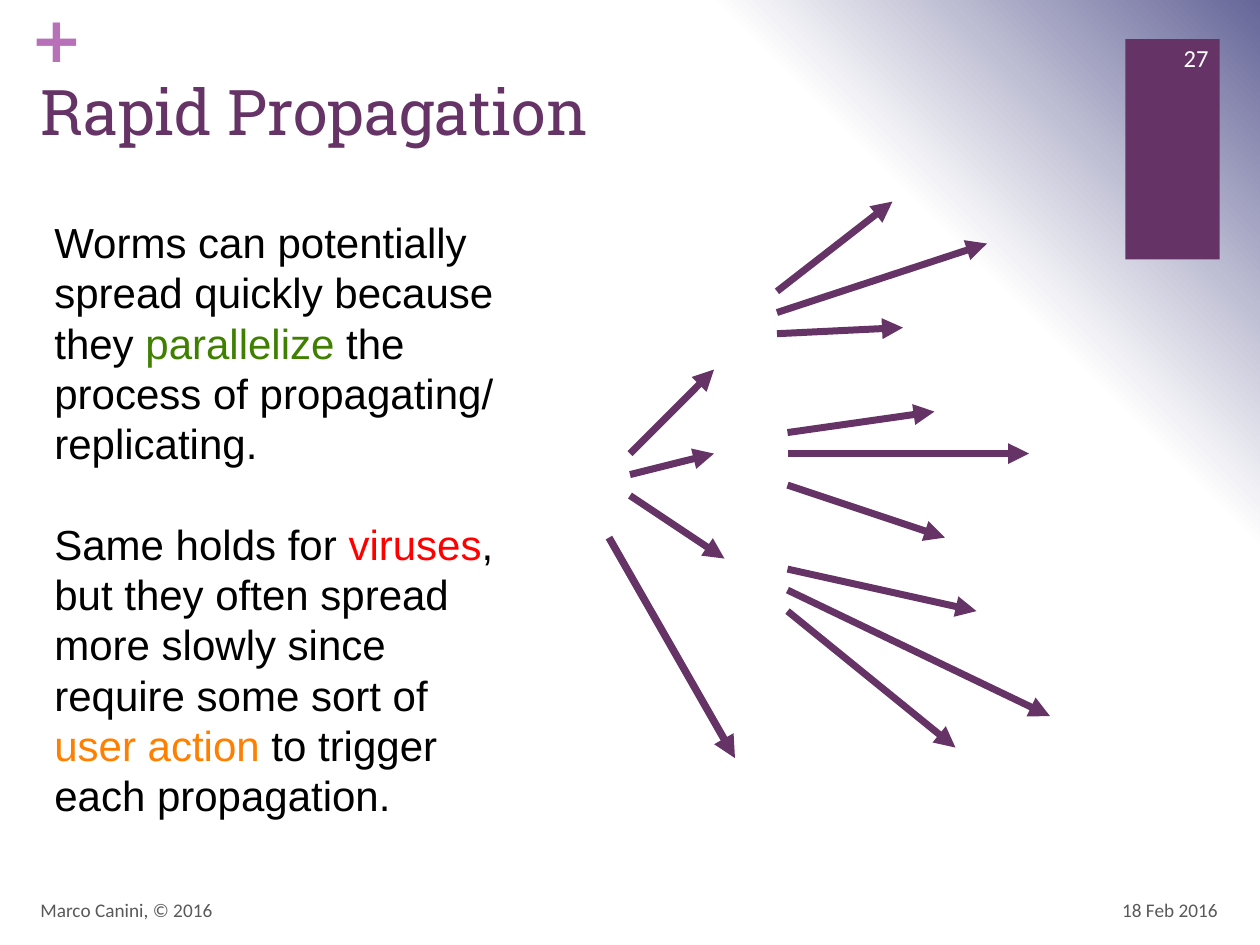
from dataclasses import dataclass, field

from pptx import Presentation
from pptx.dml.color import RGBColor
from pptx.enum.shapes import MSO_CONNECTOR, MSO_SHAPE
from pptx.enum.text import MSO_ANCHOR, MSO_AUTO_SIZE, PP_ALIGN
from pptx.oxml.ns import qn
from pptx.slide import Slide
from pptx.util import Pt
from lxml import etree

STRAIGHT, RECTANGLE = MSO_CONNECTOR.STRAIGHT, MSO_SHAPE.RECTANGLE
TOP, MIDDLE = MSO_ANCHOR.TOP, MSO_ANCHOR.MIDDLE
LEFT, RIGHT = PP_ALIGN.LEFT, PP_ALIGN.RIGHT
NO_FIT = MSO_AUTO_SIZE.NONE
TITLE_ONLY = 5

PURPLE, LILAC, SLATE, GREY = "663366", "B870B8", "666699", "595959"
WHITE, BLACK, GREEN, RED, ORANGE = "FFFFFF", "000000", "408000", "FF0000", "FF8000"
BODY_LINE = 28.74

Point = tuple[float, float]
Span = tuple[str, str]


@dataclass
class TextBlock:
    at: tuple[float, float, float, float]
    paragraphs: list[list[Span]]
    size: float
    font: str = "Calibri"
    align: PP_ALIGN = LEFT
    anchor: MSO_ANCHOR = MIDDLE
    bold: bool = False
    frame_format: dict = field(default_factory=dict)
    line_spacing: float | None = None
    gap: float = 0


@dataclass
class ArrowGroup:
    """Arrows as (from, to) point pairs that share one weight."""
    weight: float
    arrows: list[tuple[Point, Point]]


NO_INSETS = dict.fromkeys(
    ("margin_left", "margin_top", "margin_right", "margin_bottom"), 0)

TITLE = TextBlock((16, 38, 618.5, 88), [[("Rapid Propagation", PURPLE)]], 36,
                  "Roboto Slab", anchor=TOP)
TEXT_BLOCKS = [
    TextBlock((17.3, 0, 21, 44), [[("+", LILAC)]], 36, "DejaVu Sans",
              anchor=TOP, bold=True, frame_format=NO_INSETS),
    TextBlock((24, 120.2, 266.4, 352), [
        [("Worms can potentially spread quickly because they ", BLACK),
         ("parallelize", GREEN),
         (" the process of propagating/ replicating.", BLACK)],
        [("Same holds for ", BLACK), ("viruses", RED),
         (", but they often spread more slowly since require some sort of ", BLACK),
         ("user action", ORANGE), (" to trigger each propagation.", BLACK)],
    ], 24, "Arial", anchor=TOP, line_spacing=BODY_LINE, gap=BODY_LINE),
    TextBlock((535, 505.5, 168, 28.8), [[("18 Feb 2016", GREY)]], 11, align=RIGHT),
    TextBlock((16, 505.5, 482.4, 28.8), [[("Marco Canini, © 2016", GREY)]], 11),
    TextBlock((653.8, 18.7, 43.9, 28.8), [[("27", WHITE)]], 14, align=RIGHT),
]

FIRST_WAVE = ArrowGroup(4, [
    ((360, 259.2), (408, 211.2)),
    ((360, 271.2), (408, 259.2)),
    ((360, 283.2), (414, 319.2)),
])
SECOND_WAVE = ArrowGroup(4, [
    ((444, 166.5), (510, 115.2)),
    ((444, 178.6), (564, 139.2)),
    ((444, 190.7), (516, 187.2)),
    ((450, 247.2), (534, 235.2)),
    ((450, 259.2), (588, 259.2)),
    ((450, 277.2), (540, 307.2)),
    ((450, 325.2), (558, 349.2)),
    ((450, 337.2), (600, 409.2)),
    ((450, 349.2), (546, 427.2)),
])
LONE_ARROW = ArrowGroup(4.25, [((348, 307.2), (420, 433.2))])


def rgb(value: str) -> RGBColor:
    return RGBColor.from_string(value)


def set_all(target: object, values: dict) -> None:
    for name, value in values.items():
        setattr(target, name, value)


def paint_background(slide: Slide) -> None:
    """Radial gradient centred on the bottom left corner."""
    slide.background.fill.gradient()
    gradient = slide.element.find(".//" + qn("a:gradFill"))
    for child in list(gradient):
        gradient.remove(child)
    stops = etree.SubElement(gradient, qn("a:gsLst"))
    for percent, color in ((0, WHITE), (75, WHITE), (100, SLATE)):
        stop = etree.SubElement(stops, qn("a:gs"), pos=str(percent * 1000))
        etree.SubElement(stop, qn("a:srgbClr"), val=color)
    circle = etree.SubElement(gradient, qn("a:path"), path="circle")
    etree.SubElement(circle, qn("a:fillToRect"), l="0", t="100000", r="100000", b="0")


def write_text(box, block: TextBlock) -> None:
    left, top, width, height = map(Pt, block.at)
    set_all(box, {"left": left, "top": top, "width": width, "height": height})
    frame = box.text_frame
    set_all(frame, {"word_wrap": True, "auto_size": NO_FIT,
                    "vertical_anchor": block.anchor, **block.frame_format})
    for index, spans in enumerate(block.paragraphs):
        para = frame.add_paragraph() if index else frame.paragraphs[0]
        para.alignment = block.align
        para.space_before = Pt(block.gap if index else 0)
        if block.line_spacing:
            para.line_spacing = Pt(block.line_spacing)
        for text, color in spans:
            span = para.add_run()
            span.text = text
            set_all(span.font, {"name": block.font, "size": Pt(block.size),
                                "bold": block.bold})
            span.font.color.rgb = rgb(color)


def draw_arrows(slide: Slide, group: ArrowGroup) -> None:
    shapes = slide.shapes.add_group_shape().shapes
    for start, end in group.arrows:
        arrow = shapes.add_connector(STRAIGHT, *map(Pt, start + end))
        arrow.line.width = Pt(group.weight)
        arrow.line.color.rgb = rgb(PURPLE)
        etree.SubElement(arrow.line._get_or_add_ln(), qn("a:tailEnd"), type="triangle")
        etree.SubElement(arrow.element.spPr, qn("a:effectLst"))


def draw_number_panel(slide: Slide) -> None:
    panel = slide.shapes.add_shape(RECTANGLE, Pt(643), Pt(22.3), Pt(54), Pt(126))
    panel.shadow.inherit = False
    panel.fill.solid()
    panel.fill.fore_color.rgb = rgb(PURPLE)
    panel.line.fill.background()


def main() -> None:
    deck = Presentation()
    set_all(deck, {"slide_width": Pt(720), "slide_height": Pt(540)})
    slide = deck.slides.add_slide(deck.slide_layouts[TITLE_ONLY])
    paint_background(slide)
    draw_number_panel(slide)
    for group in (FIRST_WAVE, SECOND_WAVE, LONE_ARROW):
        draw_arrows(slide, group)
    write_text(slide.shapes.title, TITLE)
    for block in TEXT_BLOCKS:
        write_text(slide.shapes.add_textbox(*map(Pt, block.at)), block)
    deck.save("out.pptx")


if __name__ == "__main__":
    main()
